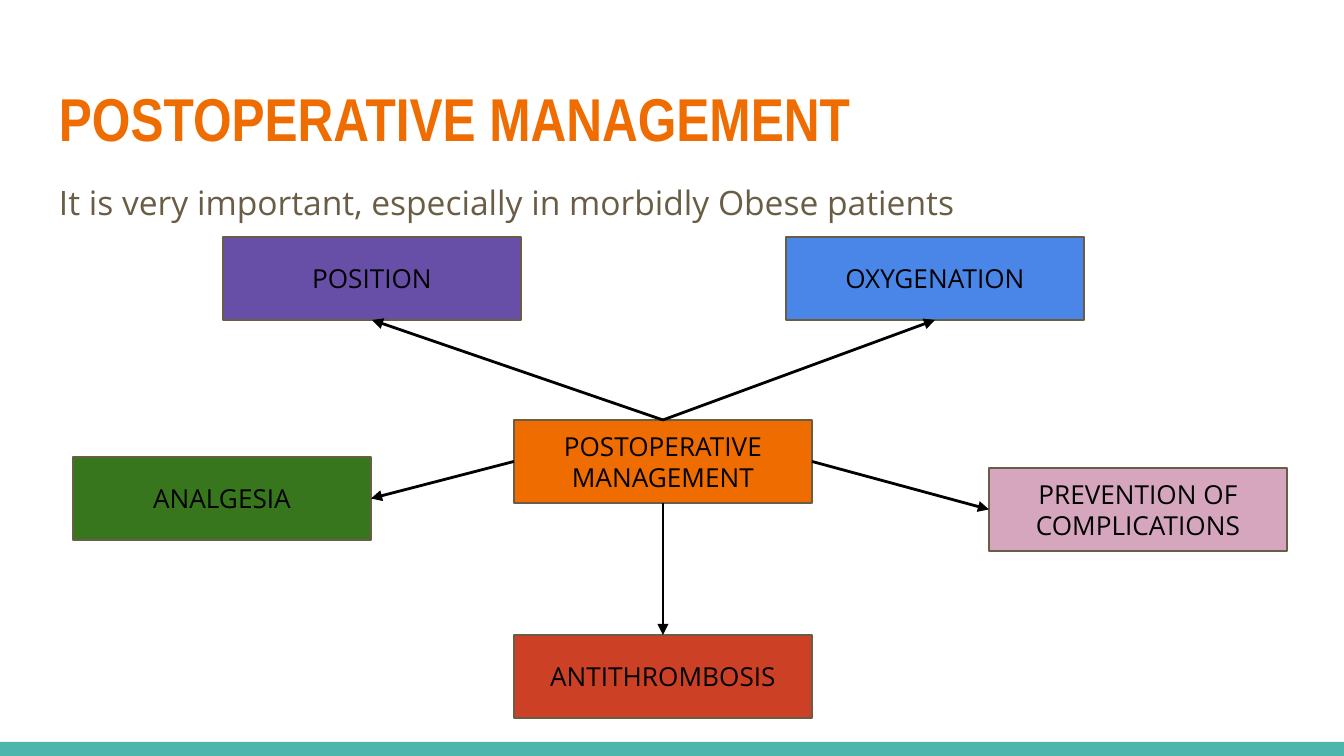
from lxml import etree
from pptx import Presentation
from pptx.dml.color import RGBColor
from pptx.enum.shapes import MSO_CONNECTOR, MSO_SHAPE
from pptx.enum.text import MSO_ANCHOR, PP_ALIGN
from pptx.oxml.ns import qn
from pptx.util import Pt

RECTANGLE = MSO_SHAPE.RECTANGLE
STRAIGHT = MSO_CONNECTOR.STRAIGHT
TOP_ANCHOR, MIDDLE = MSO_ANCHOR.TOP, MSO_ANCHOR.MIDDLE
LEFT_ALIGN, CENTER = PP_ALIGN.LEFT, PP_ALIGN.CENTER
TOP, LEFT, BOTTOM, RIGHT = range(4)  # connection sites of a rectangle
PX = 9144000 / 1344  # EMU in one px
BOX_WIDTH, BOX_HEIGHT = 298, 83


def color(value):
    return RGBColor.from_string(value)


def write(shape, text, font, size, ink, anchor, align):
    frame = shape.text_frame
    frame.text = text
    frame.word_wrap = True
    frame.vertical_anchor = anchor
    frame.margin_left = frame.margin_right = round(13 * PX)
    frame.margin_top = frame.margin_bottom = round(13 * PX)
    para = frame.paragraphs[0]
    para.alignment = align
    span = para.runs[0]
    span.font.name = font
    span.font.size = Pt(size)
    span.font.color.rgb = color(ink)
    return para


deck = Presentation()
deck.slide_width, deck.slide_height = round(1344 * PX), round(756 * PX)
page = deck.slides.add_slide(deck.slide_layouts[6])

# Bottom band
band = page.shapes.add_shape(RECTANGLE, 0, round(742 * PX), deck.slide_width, round(14 * PX))
band.shadow.inherit = False
band.fill.solid()
band.fill.fore_color.rgb = color("4DB6AC")
band.line.fill.background()

# Title and lead sentence
title = page.shapes.add_textbox(*[round(v * PX) for v in (46, 66, 1253, 103)])
para = write(title, "POSTOPERATIVE MANAGEMENT", "Arial Narrow", 32.4, "EF6C00", MIDDLE, LEFT_ALIGN)
para.runs[0].font.bold = True

lead = page.shapes.add_textbox(*[round(v * PX) for v in (46, 163, 1278, 566)])
para = write(lead, "It is very important, especially in morbidly Obese patients",
             "Open Sans", 18, "695D46", TOP_ANCHOR, LEFT_ALIGN)
para.line_spacing = 1.15
para.space_after = Pt(12)

# Boxes: label, left, top, fill
boxes = {}
for label, left, top, fill in [
    ("POSTOPERATIVE MANAGEMENT", 514, 420, "EF6C00"),
    ("POSITION", 223, 237, "674EA7"),
    ("OXYGENATION", 786, 237, "4A86E8"),
    ("ANALGESIA", 73, 457, "38761D"),
    ("PREVENTION OF COMPLICATIONS", 989, 468, "D5A6BD"),
    ("ANTITHROMBOSIS", 514, 635, "CC4125"),
]:
    box = page.shapes.add_shape(
        RECTANGLE, *[round(v * PX) for v in (left, top, BOX_WIDTH, BOX_HEIGHT)])
    box.shadow.inherit = False
    box.fill.solid()
    box.fill.fore_color.rgb = color(fill)
    box.line.color.rgb = color("695D46")
    box.line.width = Pt(0.75)
    write(box, label, "Open Sans", 14, "000000", MIDDLE, CENTER)
    boxes[label] = box

# Arrows from the central box: start site, target, end site
center = boxes["POSTOPERATIVE MANAGEMENT"]
for start, target, end in [
    (TOP, "POSITION", BOTTOM),
    (TOP, "OXYGENATION", BOTTOM),
    (BOTTOM, "ANTITHROMBOSIS", TOP),
    (LEFT, "ANALGESIA", RIGHT),
    (RIGHT, "PREVENTION OF COMPLICATIONS", LEFT),
]:
    arrow = page.shapes.add_connector(STRAIGHT, 0, 0, 0, 0)
    arrow.begin_connect(center, start)
    arrow.end_connect(boxes[target], end)
    arrow.line.color.rgb = color("000000")
    arrow.line.width = Pt(1.5)
    etree.SubElement(arrow.line._get_or_add_ln(), qn("a:tailEnd"), type="triangle")
    etree.SubElement(arrow._element.spPr, qn("a:effectLst"))

deck.save("out.pptx")
